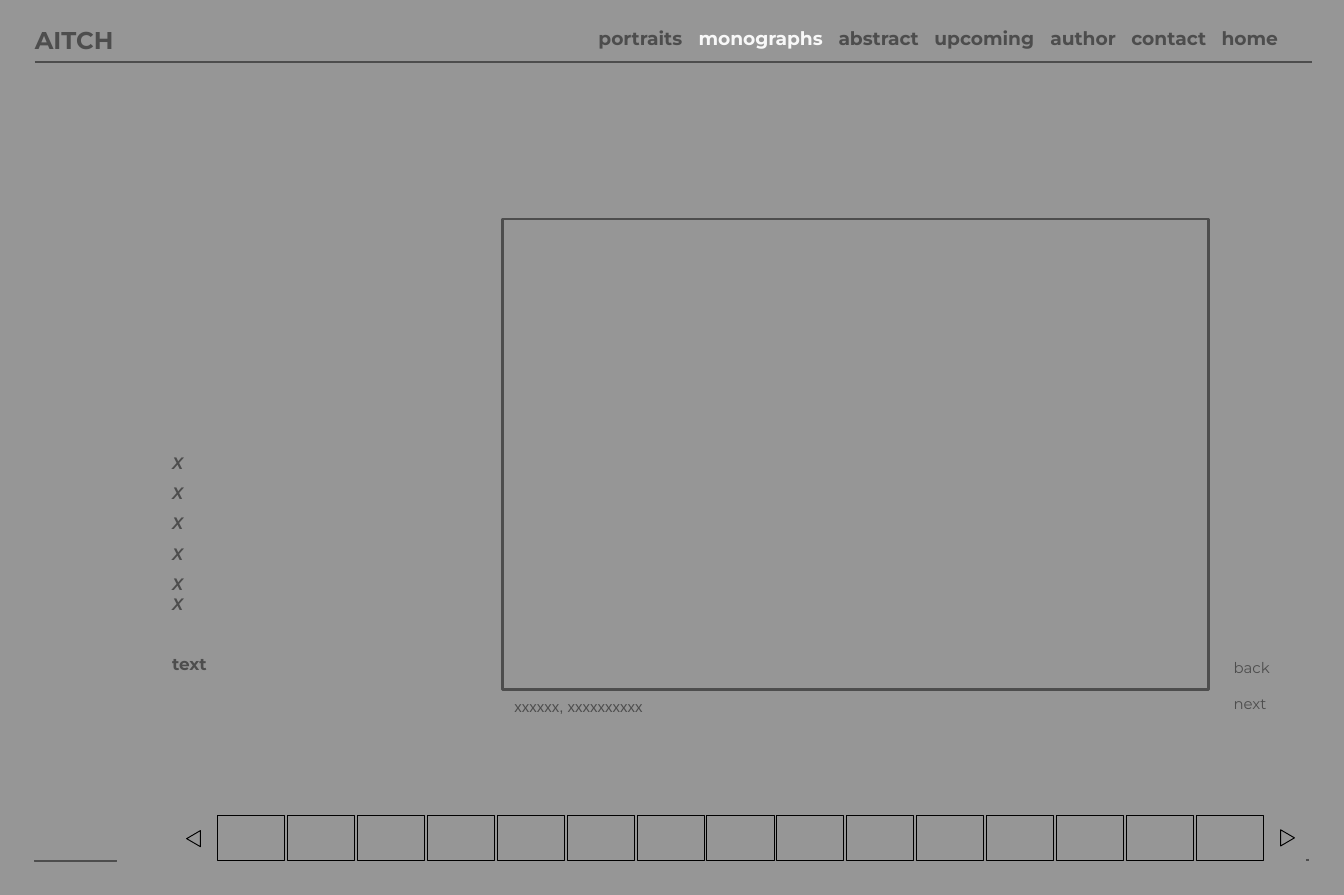
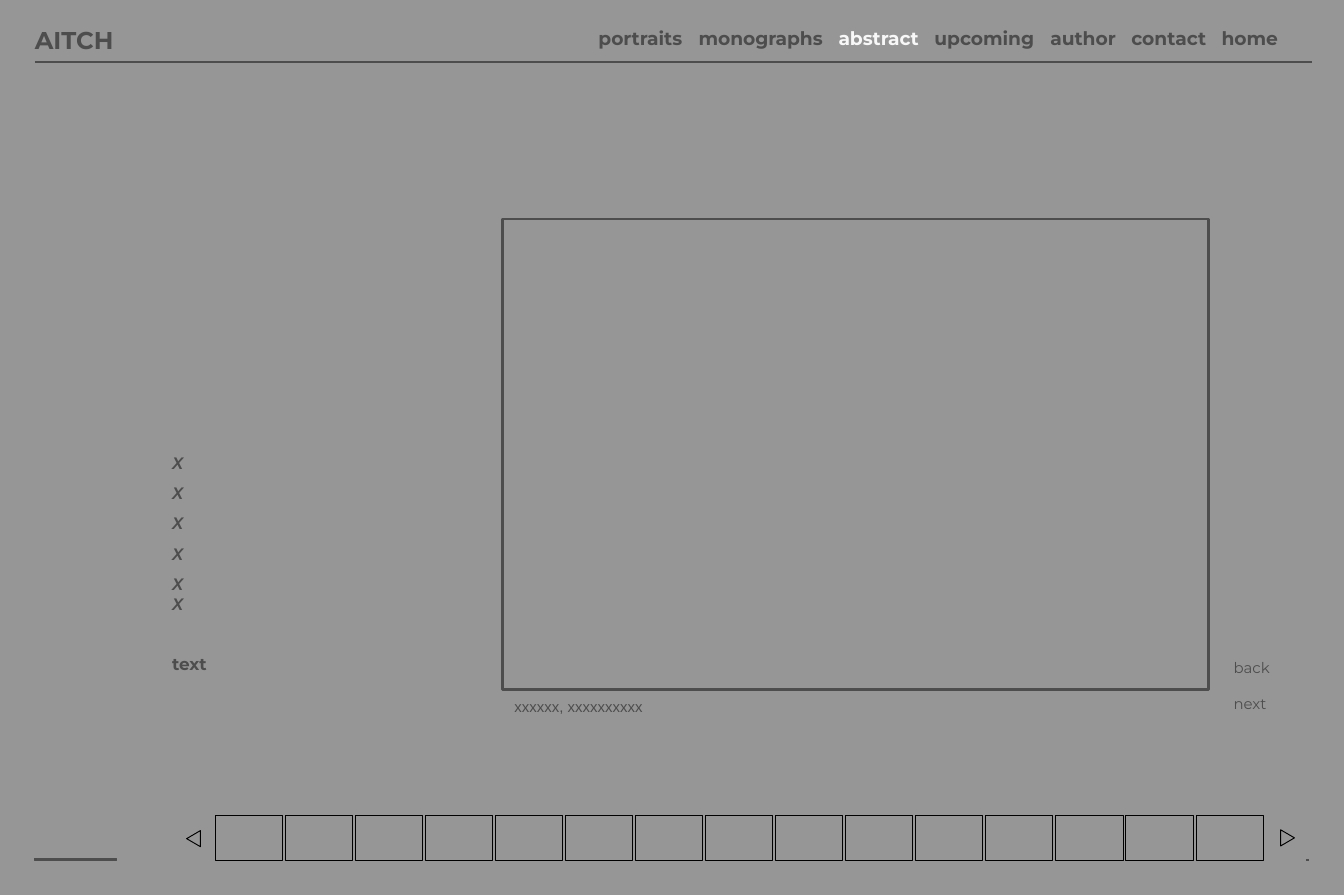
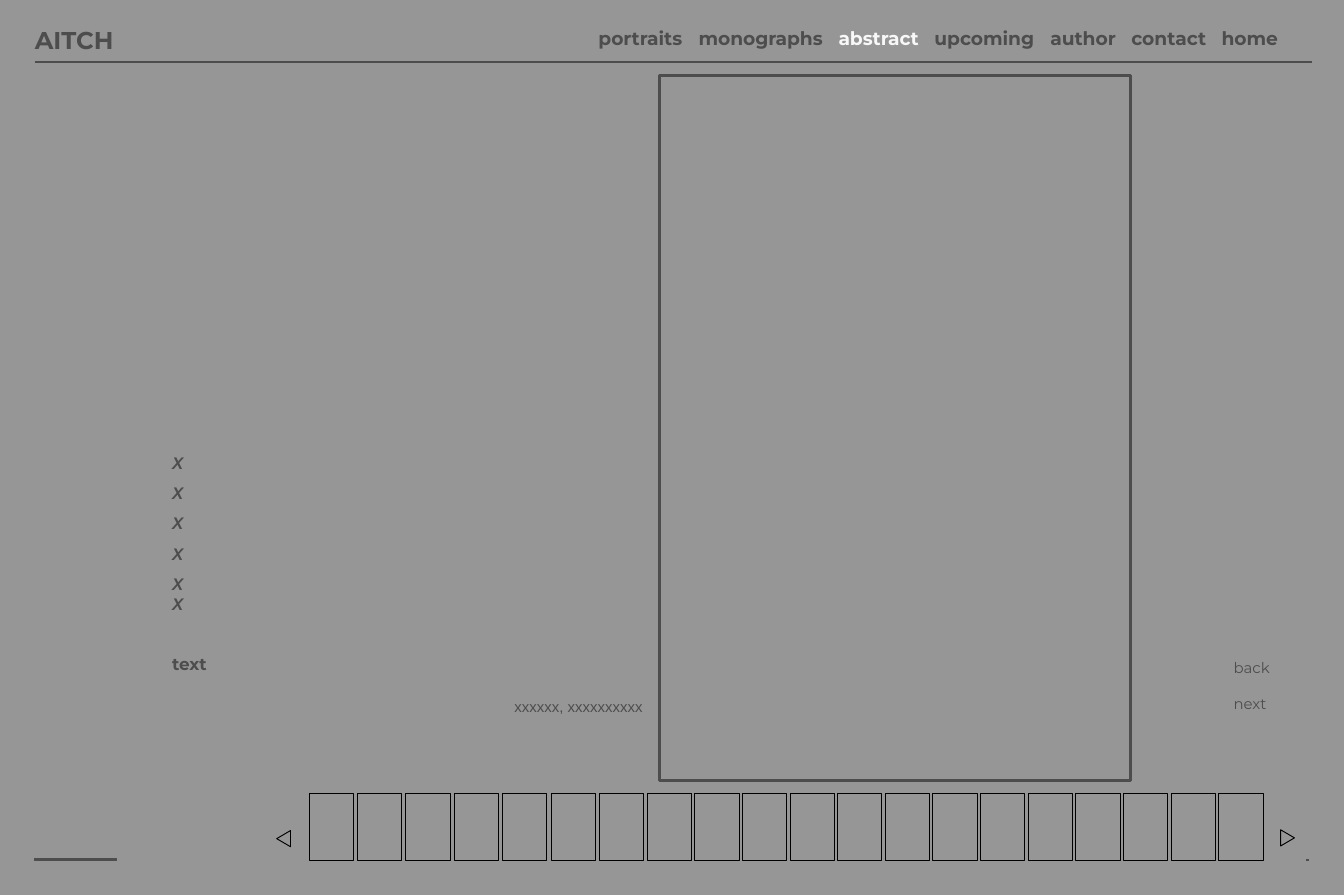
from lxml.etree import SubElement
from pptx import Presentation
from pptx.dml.color import RGBColor
from pptx.enum.shapes import MSO_CONNECTOR, MSO_SHAPE
from pptx.enum.text import MSO_ANCHOR, MSO_AUTO_SIZE, PP_ALIGN
from pptx.oxml.ns import qn
from pptx.util import Pt

BACKGROUND = RGBColor(0x96, 0x96, 0x96)
DARK = RGBColor(0x4D, 0x4D, 0x4D)
ACTIVE = RGBColor(0xF8, 0xF8, 0xF8)
BLACK = RGBColor(0, 0, 0)

SITE = "AITCH"
MENU = [("portraits", 0), ("monographs", 53.6), ("abstract", 128.6), ("upcoming", 180),
        ("author", 242.1), ("contact", 285.5), ("home", 333.8)]
DETAILS = ["X"] * 6
DETAILS_LINK = "text"
CAPTION = "xxxxxx, xxxxxxxxxx"
PAGER = ["back", "next"]

WIDE_FRAME = (269.28, 117.36, 378, 252)
TALL_FRAME = (353.52, 40.32, 252, 378)
WIDE_THUMB = (36, 23.76)
TALL_THUMB = (23.76, 36)
STRIP_BOTTOM = 460.9

PAGES = [
    {"active": "monographs", "frame": WIDE_FRAME, "thumb": WIDE_THUMB,
     "strips": [(116.64, 37.44, 15)], "previous": 99.36, "bar": 460.8},
    {"active": "abstract", "frame": WIDE_FRAME, "thumb": WIDE_THUMB,
     "strips": [(115.2, 37.54, 15)], "previous": 99.36, "bar": 460.1},
    {"active": "abstract", "frame": TALL_FRAME, "thumb": TALL_THUMB,
     "strips": [(165.6, 25.92, 6), (321.12, 25.53, 14)], "previous": 147.6, "bar": 460.1},
]


def style(paragraph, size, face="Montserrat", bold=False, italic=False):
    font = paragraph.font
    font.size, font.name = Pt(size), face
    font.bold, font.italic = bold, italic
    font.color.rgb = DARK


def place(shape, left, top, width, height):
    shape.left, shape.top, shape.width, shape.height = map(Pt, (left, top, width, height))


def prepare(frame, wrap):
    frame.word_wrap = wrap
    frame.auto_size = MSO_AUTO_SIZE.NONE
    frame.vertical_anchor = MSO_ANCHOR.TOP


def add_text(page, bounds, lines, size, face="Montserrat", gap=0):
    box = page.shapes.add_textbox(*map(Pt, bounds))
    prepare(box.text_frame, False)
    box.text_frame.text = "\n".join(lines)
    for index, paragraph in enumerate(box.text_frame.paragraphs):
        if index:
            paragraph.space_before = Pt(gap)
        style(paragraph, size, face)


def add_outline(page, bounds, color, weight, kind=MSO_SHAPE.RECTANGLE):
    shape = page.shapes.add_shape(kind, *map(Pt, bounds))
    shape.shadow.inherit = False
    shape.fill.background()
    shape.line.color.rgb = color
    shape.line.width = Pt(weight)
    return shape


def add_line(page, start, end, weight):
    line = page.shapes.add_connector(MSO_CONNECTOR.STRAIGHT, *map(Pt, start + end))
    line.line.color.rgb = DARK
    line.line.width = Pt(weight)
    SubElement(line._element.spPr, qn("a:effectLst"))


def add_header(page, active):
    title = page.shapes.title
    place(title, 11.52, 10.08, 59.76, 23.04)
    prepare(title.text_frame, False)
    title.text_frame.text = SITE
    paragraph = title.text_frame.paragraphs[0]
    paragraph.alignment = PP_ALIGN.LEFT
    style(paragraph, 13, bold=True)
    add_line(page, (18.72, 33.2), (702.72, 33.2), 0.75)

    box = page.shapes.add_textbox(*map(Pt, (313.5, 10.8, 404.64, 20.16)))
    prepare(box.text_frame, True)
    paragraph = box.text_frame.paragraphs[0]
    tabs = SubElement(paragraph._p.get_or_add_pPr(), qn("a:tabLst"))
    for _, position in MENU[1:]:
        SubElement(tabs, qn("a:tab"), pos=str(Pt(position)), algn="l")
    style(paragraph, 10, bold=True)
    for name, position in MENU:
        span = paragraph.add_run()
        span.text = f"\t{name}" if position else name
        if name == active:
            span.font.color.rgb = ACTIVE


def add_details(page):
    body = page.placeholders[1]
    place(body, 84.96, 233.28, 235.44, 174.24)
    prepare(body.text_frame, True)
    body.text_frame.text = "\n".join(DETAILS + [DETAILS_LINK])
    last = len(DETAILS)
    for index, paragraph in enumerate(body.text_frame.paragraphs):
        properties = paragraph._p.get_or_add_pPr()
        properties.set("marL", "0")
        properties.set("indent", "0")
        SubElement(properties, qn("a:buNone"))
        paragraph.line_spacing = 1.5 if index < last - 1 else 1.0
        paragraph.space_before = Pt(21.5 if index == last else 0)
        if index == last:
            style(paragraph, 9, bold=True)
        else:
            style(paragraph, 9, "Arial", bold=True, italic=True)


def add_strip(page, content):
    width, height = content["thumb"]
    for first, step, count in content["strips"]:
        for index in range(count):
            bounds = (first + index * step, STRIP_BOTTOM - height, width, height)
            add_outline(page, bounds, BLACK, 0.5)
    for left, top, turn in ((content["previous"], 445.6, 270), (685.44, 445.2, 90)):
        arrow = add_outline(page, (left, top, 8.64, 7.4), BLACK, 0.5,
                            MSO_SHAPE.ISOSCELES_TRIANGLE)
        arrow.rotation = turn


def add_footer(page, top):
    bar = add_outline(page, (18.72, top, 43.92, 0.7), DARK, 0.5)
    bar.fill.solid()
    bar.fill.fore_color.rgb = DARK
    add_line(page, (700.6, 460.1), (700.6, 461.5), 1.5)


def main():
    deck = Presentation()
    deck.slide_width, deck.slide_height = Pt(720), Pt(479.52)
    background = deck.slide_master.background.fill
    background.solid()
    background.fore_color.rgb = BACKGROUND
    for content in PAGES:
        page = deck.slides.add_slide(deck.slide_layouts[1])
        add_header(page, content["active"])
        add_outline(page, content["frame"], DARK, 1.5)
        add_text(page, (653.76, 349.2, 38.88, 36), PAGER, 8, gap=9.6)
        add_text(page, (268.56, 370.08, 83.52, 17.28), [CAPTION], 8, "Arial")
        add_strip(page, content)
        add_footer(page, content["bar"])
        add_details(page)
    deck.save("out.pptx")


if __name__ == "__main__":
    main()
